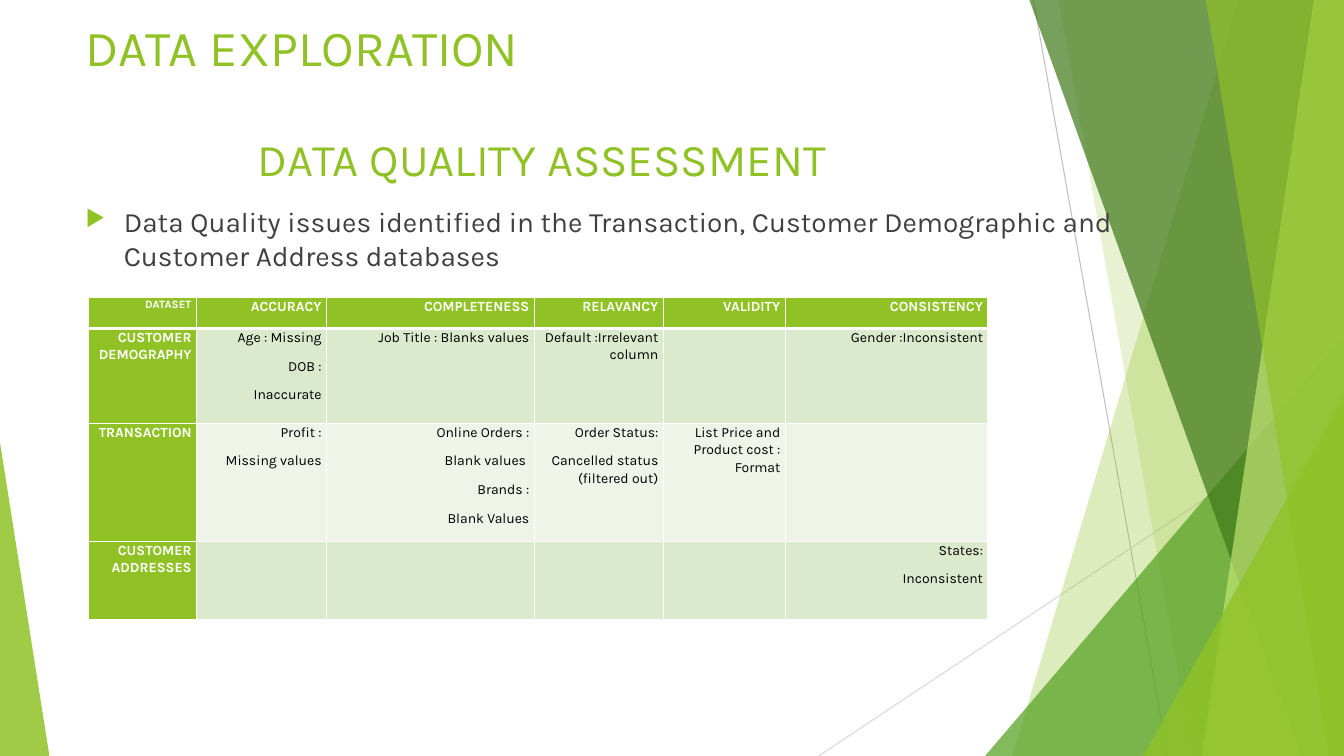
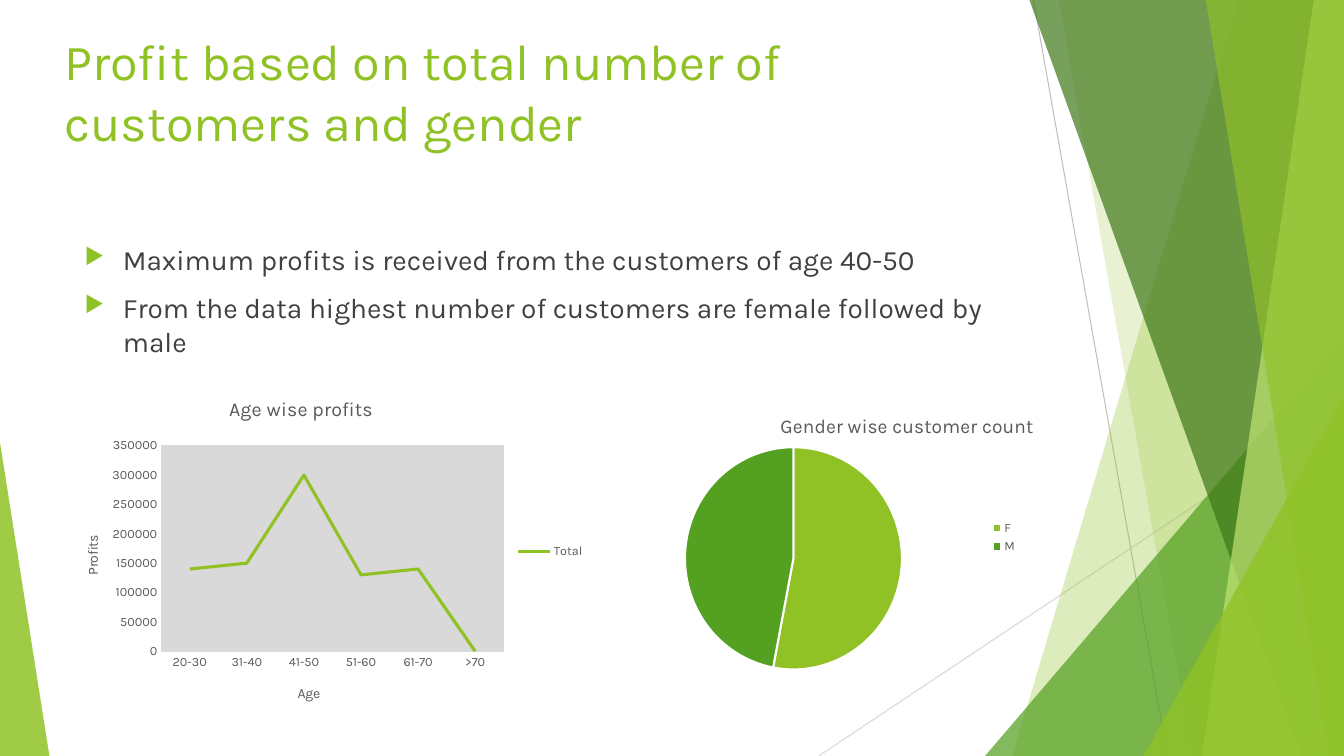
"""Build two slides on data quality and on profit by age and gender."""
from dataclasses import dataclass
from typing import Any, Optional, Sequence

from lxml.etree import Element, SubElement
from pptx import Presentation
from pptx.chart.chart import Chart
from pptx.chart.data import CategoryChartData as ChartData
from pptx.dml.color import RGBColor as RGB
from pptx.enum.chart import XL_CHART_TYPE as Kind, XL_LEGEND_POSITION as Side, XL_TICK_MARK as Tick
from pptx.enum.shapes import MSO_CONNECTOR as Link, MSO_SHAPE as Form
from pptx.enum.text import PP_ALIGN as Align
from pptx.oxml.ns import qn
from pptx.slide import Slide
from pptx.util import Inches, Pt

FONT = "Karla"
LIME = RGB(0x90, 0xC2, 0x26)
GREEN = RGB(0x54, 0xA0, 0x21)
MOSS = RGB(0x3F, 0x78, 0x19)
PALE = RGB(0xC0, 0xE4, 0x74)
MINT = RGB(0xDB, 0xE9, 0xCD)
MIST = RGB(0xEE, 0xF4, 0xE8)
WHITE = RGB(0xFF, 0xFF, 0xFF)
BLACK = RGB(0, 0, 0)
INK = RGB(0x40, 0x40, 0x40)
GREY = RGB(0x59, 0x59, 0x59)
SILVER = RGB(0xBF, 0xBF, 0xBF)
ASH = RGB(0xD9, 0xD9, 0xD9)
WIDE, HIGH = 13.33, 7.5


@dataclass(frozen=True)
class Ray:
    """A thin line behind the bands."""
    left: float
    top: float
    right: float
    foot: float
    color: RGB


@dataclass(frozen=True)
class Band:
    """A full-height band that runs to the right edge."""
    top: float
    foot: float
    color: RGB
    alpha: int


@dataclass(frozen=True)
class Peak:
    """A right triangle that stands on the bottom edge."""
    left: float
    top: float
    width: float
    lean: float
    color: RGB
    alpha: int


@dataclass(frozen=True)
class Box:
    """A place on the slide."""
    left: float
    top: float
    width: float
    height: float

    def spans(self) -> list[int]:
        """Return the four lengths."""
        return [Inches(n) for n in (self.left, self.top, self.width, self.height)]


RAYS = (Ray(10.25, 0, 11.58, HIGH, SILVER), Ray(WIDE, 4.03, 8.12, HIGH, ASH))
DECOR = (
    Band(12.28, 10.04, LIME, 30),
    Band(10.5, 11.83, LIME, 20),
    Peak(9.77, 3.33, 3.56, 1, GREEN, 72),
    Band(10.21, 12.91, MOSS, 70),
    Band(13.03, 11.92, PALE, 70),
    Band(11.96, 13.18, LIME, 65),
    Peak(11.34, 3.93, 1.99, 1, LIME, 80),
    Peak(0, 4.39, 0.49, 0, LIME, 85),
)
COLS = (1.07, 1.29, 2.06, 1.28, 1.21, 2.01)
ROWS = (0.31, 0.94, 1.17, 0.78)
CELLS = (
    ("DATASET", "ACCURACY", "COMPLETENESS", "RELAVANCY", "VALIDITY", "CONSISTENCY"),
    ("CUSTOMER DEMOGRAPHY", "Age : Missing\nDOB :\nInaccurate", "Job Title : Blanks values",
     "Default :Irrelevant column", "", "Gender :Inconsistent"),
    ("TRANSACTION", "Profit :\nMissing values",
     "Online Orders :\nBlank values \nBrands :\nBlank Values",
     "Order Status:\nCancelled status (filtered out)",
     "List Price and Product cost : Format", ""),
    ("CUSTOMER ADDRESSES", "", "", "", "", "States:\nInconsistent"),
)


def style(font: Any, size: float, color: RGB, bold: bool = False) -> None:
    """Set the look of a font."""
    font.name, font.size, font.bold = FONT, Pt(size), bold
    font.color.rgb = color


def paint(shape: Any, color: RGB, alpha: int) -> None:
    """Give a shape a see-through fill with no line."""
    shape.shadow.inherit = False
    shape.line.fill.background()
    shape.fill.solid()
    shape.fill.fore_color.rgb = color
    tint = shape.element.spPr.find(qn("a:solidFill"))[0]
    SubElement(tint, qn("a:alpha"), val=str(alpha * 1000))


def adorn(slide: Slide) -> None:
    """Draw the shared rays, bands and peaks."""
    for ray in RAYS:
        ends = [Inches(n) for n in (ray.left, ray.top, ray.right, ray.foot)]
        line = slide.shapes.add_connector(Link.STRAIGHT, *ends)
        line.line.color.rgb = ray.color
        line.line.width = Pt(0.75)
        SubElement(line.element.spPr, qn("a:effectLst"))
    for item in DECOR:
        if isinstance(item, Band):
            pen = slide.shapes.build_freeform(Inches(item.top), 0)
            rest = ((WIDE, 0), (WIDE, HIGH), (item.foot, HIGH))
            pen.add_line_segments([(Inches(x), Inches(y)) for x, y in rest])
            shape = pen.convert_to_shape()
        else:
            box = Box(item.left, item.top, item.width, HIGH - item.top)
            shape = slide.shapes.add_shape(Form.ISOSCELES_TRIANGLE, *box.spans())
            shape.adjustments[0] = item.lean
        paint(shape, item.color, item.alpha)


def write(slide: Slide, box: Box, text: str, size: float, color: RGB) -> Any:
    """Add wrapped text and return its frame."""
    frame = slide.shapes.add_textbox(*box.spans()).text_frame
    frame.word_wrap = True
    frame.text = text
    for para in frame.paragraphs:
        for run in para.runs:
            style(run.font, size, color)
    return frame


def title(slide: Slide, box: Box, text: str, size: float = 36) -> None:
    """Add a title."""
    write(slide, box, text, size, LIME)


def points(slide: Slide, box: Box, text: str) -> None:
    """Add a bullet list."""
    for para in write(slide, box, text, 20, INK).paragraphs:
        para.space_before = Pt(10)
        props = para._p.get_or_add_pPr()
        props.set("marL", str(Inches(0.38)))
        props.set("indent", str(Inches(-0.38)))
        tint = SubElement(props, qn("a:buClr"))
        SubElement(tint, qn("a:srgbClr"), val=str(LIME))
        SubElement(props, qn("a:buSzPct"), val="80000")
        SubElement(props, qn("a:buChar"), char="▶")


def edge(cell: Any, head: bool) -> None:
    """Draw white borders around a cell."""
    props = cell._tc.get_or_add_tcPr()
    for side in "LRTB":
        width = Pt(3 if head and side == "B" else 1)
        line = SubElement(props, qn(f"a:ln{side}"), w=str(width))
        fill = SubElement(line, qn("a:solidFill"))
        SubElement(fill, qn("a:srgbClr"), val=str(WHITE))


def grid(slide: Slide, box: Box) -> None:
    """Add the data quality table."""
    table = slide.shapes.add_table(len(ROWS), len(COLS), *box.spans()).table
    for col, width in zip(table.columns, COLS):
        col.width = Inches(width)
    for row, height in zip(table.rows, ROWS):
        row.height = Inches(height)
    for i, texts in enumerate(CELLS):
        for j, text in enumerate(texts):
            cell = table.cell(i, j)
            head = i == 0 or j == 0
            edge(cell, i == 0)
            cell.fill.solid()
            cell.fill.fore_color.rgb = LIME if head else MINT if i % 2 else MIST
            cell.margin_left = cell.margin_right = Inches(0.05)
            cell.margin_top = cell.margin_bottom = 0
            cell.text_frame.text = text
            for para in cell.text_frame.paragraphs:
                para.alignment = Align.RIGHT
                para.line_spacing, para.space_after = 1.07, Pt(8)
                for run in para.runs:
                    style(run.font, 10 if i or j else 8, WHITE if head else BLACK, head)


def place(node: Any, left: float, top: float, size: Optional[Sequence[float]] = None) -> None:
    """Fix a chart part at fractions of the chart."""
    old = node.find(qn("c:layout"))
    if old is not None:
        node.remove(old)
    outer = Element(qn("c:layout"))
    node.insert(0 if node.find(qn("c:tx")) is None else 1, outer)
    inner = SubElement(outer, qn("c:manualLayout"))
    if size:
        SubElement(inner, qn("c:layoutTarget"), val="inner")
    for name in ("xMode", "yMode"):
        SubElement(inner, qn(f"c:{name}"), val="edge")
    for name, part in zip("xywh", (left, top, *(size or ()))):
        SubElement(inner, qn(f"c:{name}"), val=str(part))


def label(part: Any, text: str, size: float, left: float, top: float) -> None:
    """Write and place a chart or axis title."""
    part.text_frame.text = text
    style(part.text_frame.paragraphs[0].runs[0].font, size, GREY)
    place(part._element, left, top)


def plot(slide: Slide, kind: Kind, box: Box, name: str, cats: Sequence[str],
         vals: Sequence[float]) -> Chart:
    """Add a chart with a legend at the right."""
    data = ChartData()
    data.categories = cats
    data.add_series(name, vals)
    chart = slide.shapes.add_chart(kind, *box.spans(), data).chart
    style(chart.font, 10, BLACK)
    chart.has_legend = True
    chart.legend.position = Side.RIGHT
    chart.legend.include_in_layout = False
    style(chart.legend.font, 9, GREY)
    return chart


def ages(slide: Slide) -> None:
    """Add the line chart of profits by age."""
    chart = plot(slide, Kind.LINE, Box(0.59, 3.83, 5.31, 3.29), "Total",
                 ("20-30", "31-40", "41-50", "51-60", "61-70", ">70"),
                 (140000, 150000, 300000, 130000, 140000, 0))
    label(chart.chart_title, "Age wise profits", 14, 0.31, 0.02)
    cat, val = chart.category_axis, chart.value_axis
    for axis in (cat, val):
        axis.major_tick_mark = axis.minor_tick_mark = Tick.NONE
        style(axis.tick_labels.font, 9, GREY)
    label(cat.axis_title, "Age", 10, 0.44, 0.89)
    label(val.axis_title, "Profits", 10, 0.04, 0.44)
    turn = val.axis_title.text_frame._txBody.find(qn("a:bodyPr"))
    turn.set("rot", "-5400000")
    turn.set("vert", "horz")
    val.minimum_scale, val.maximum_scale, val.major_unit = 0, 350000, 50000
    val.format.line.fill.background()
    for line in (cat.format.line, val.major_gridlines.format.line):
        line.color.rgb = ASH
        line.width = Pt(0.75)
    chart.plots[0].vary_by_categories = False
    total = chart.plots[0].series[0]
    total.smooth = False
    total.format.line.color.rgb = LIME
    total.format.line.width = Pt(2.25)
    area = chart._chartSpace.chart.plotArea
    place(area, 0.19, 0.18, (0.64, 0.62))
    fill = SubElement(SubElement(area, qn("c:spPr")), qn("a:solidFill"))
    SubElement(fill, qn("a:srgbClr"), val=str(ASH))


def sexes(slide: Slide) -> None:
    """Add the pie chart of customers by gender."""
    chart = plot(slide, Kind.PIE, Box(6.05, 3.83, 4.24, 3), "Series 1", ("F", "M"), (53, 47))
    label(chart.chart_title, "Gender wise customer count", 14, 0.4, 0.08)
    place(chart._chartSpace.chart.plotArea, 0.18, 0.19, (0.52, 0.76))
    chart.plots[0].vary_by_categories = True
    for i, color in enumerate((LIME, GREEN)):
        look = chart.plots[0].series[0].points[i].format
        look.fill.solid()
        look.fill.fore_color.rgb = color
        look.line.color.rgb = WHITE
        look.line.width = Pt(1.5)


def main() -> None:
    """Build and save the slides."""
    deck = Presentation()
    deck.slide_width, deck.slide_height = Inches(WIDE), Inches(HIGH)
    first, second = (deck.slides.add_slide(deck.slide_layouts[6]) for _ in range(2))
    for slide in (first, second):
        adorn(slide)
    title(first, Box(0.75, 0.11, 9.33, 0.7), "DATA EXPLORATION")
    title(first, Box(2.46, 1.25, 7.62, 0.65), "DATA QUALITY ASSESSMENT", 32.4)
    points(first, Box(0.75, 1.98, 10.77, 0.8), "Data Quality issues identified in the "
           "Transaction, Customer Demographic and Customer Address databases")
    grid(first, Box(0.88, 2.95, sum(COLS), sum(ROWS)))
    title(second, Box(0.54, 0.25, 9.33, 1.65),
          "Profit based on total number of customers and gender")
    points(second, Box(0.74, 2.36, 9.4, 1.3),
           "Maximum profits is received from the customers of age 40-50\n"
           "From the data highest number of customers are female followed by male")
    ages(second)
    sexes(second)
    deck.save("out.pptx")


if __name__ == "__main__":
    main()
